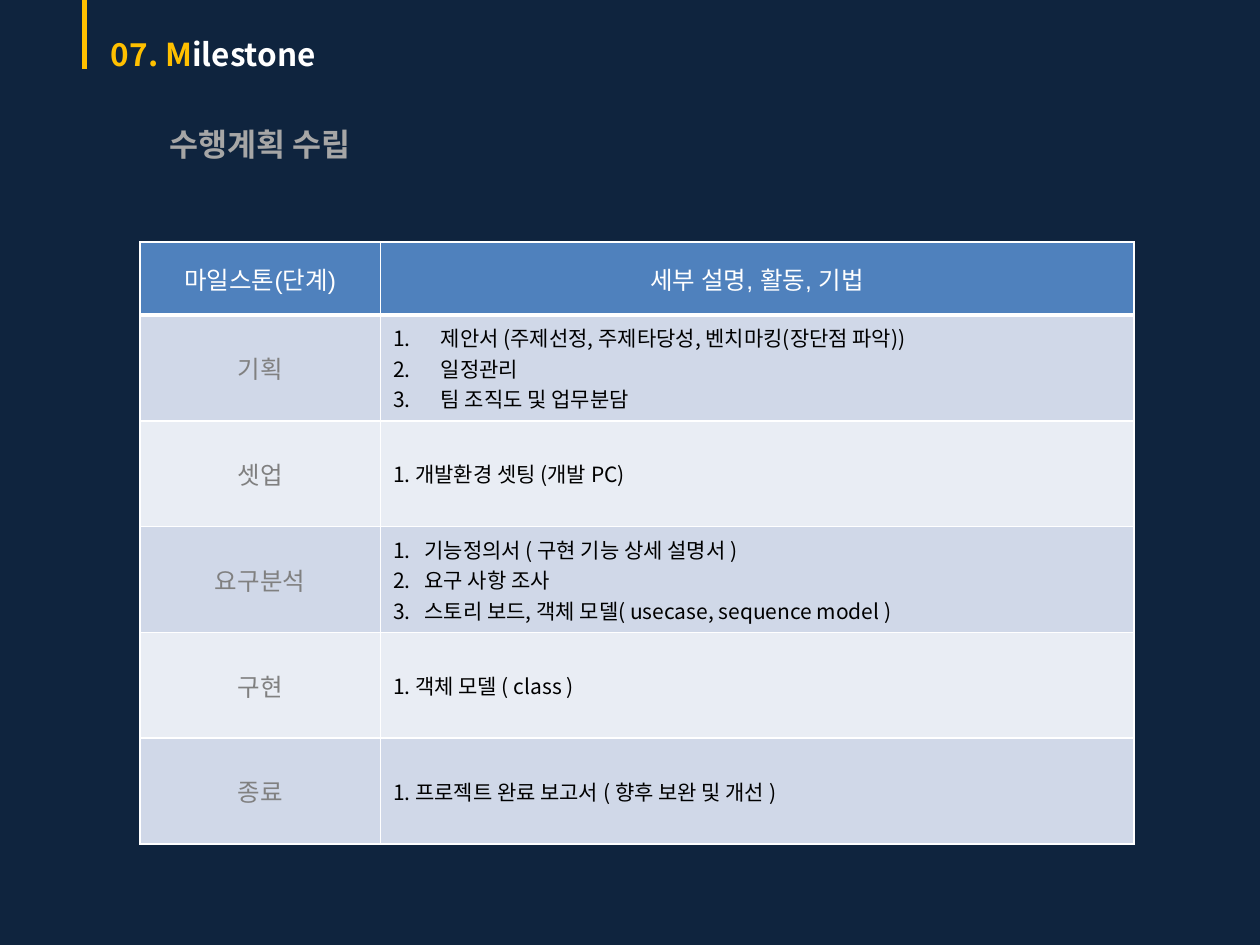
from lxml.etree import SubElement
from pptx import Presentation
from pptx.dml.color import RGBColor
from pptx.enum.shapes import MSO_CONNECTOR
from pptx.enum.text import MSO_ANCHOR, MSO_AUTO_SIZE, PP_ALIGN
from pptx.oxml.ns import qn
from pptx.util import Inches, Pt

NAVY = RGBColor(0x0F, 0x24, 0x3E)
GOLD = RGBColor(0xFF, 0xC0, 0x00)
WHITE = RGBColor(0xFF, 0xFF, 0xFF)
BLACK = RGBColor(0, 0, 0)
GRAY = RGBColor(0x80, 0x80, 0x80)
SILVER = RGBColor(0xA6, 0xA6, 0xA6)
BLUE = RGBColor(0x4F, 0x81, 0xBD)
DARK = RGBColor(0xD0, 0xD8, 0xE8)
LIGHT = RGBColor(0xE9, 0xED, 0xF4)
NOTO = "Noto Sans CJK KR"


def style(para, size, name, color, bold=False):
    font = para.font
    font.size = Pt(size)
    font.name = name
    font.bold = bold
    font.color.rgb = color


def border(cell, side, width):
    line = SubElement(cell._tc.get_or_add_tcPr(), qn("a:ln" + side), w=str(Pt(width)))
    fill = SubElement(line, qn("a:solidFill"))
    SubElement(fill, qn("a:srgbClr"), val=str(WHITE))


prs = Presentation()
prs.slide_width = Inches(10)
prs.slide_height = Inches(7.5)
slide = prs.slides.add_slide(prs.slide_layouts[5])
slide.background.fill.solid()
slide.background.fill.fore_color.rgb = NAVY

rows = [
    ("마일스톤(단계)", ["세부 설명, 활동, 기법"], 0),
    ("기획", ["제안서 (주제선정, 주제타당성, 벤치마킹(장단점 파악))", "일정관리", "팀 조직도 및 업무분담"], 0.38),
    ("셋업", ["1. 개발환경 셋팅 (개발 PC)"], 0),
    ("요구분석", ["기능정의서 ( 구현 기능 상세 설명서 )", "요구 사항 조사",
              "스토리 보드, 객체 모델( usecase, sequence model )"], 0.25),
    ("구현", ["1. 객체 모델 ( class )"], 0),
    ("종료", ["1. 프로젝트 완료 보고서 ( 향후 보완 및 개선 )"], 0),
]
frame = slide.shapes.add_table(len(rows), 2, Inches(1.11), Inches(1.92), Inches(7.89), Inches(4.78))
table = frame.table
table.columns[0].width = Inches(1.91)
table.columns[1].width = Inches(5.98)
for r, (stage, items, indent) in enumerate(rows):
    table.rows[r].height = Inches(0.84 if r else 0.58)
    for c, lines in enumerate([[stage], items]):
        cell = table.cell(r, c)
        cell.vertical_anchor = MSO_ANCHOR.MIDDLE
        for side in "LRTB":
            thick = (r, side) in [(0, "B"), (1, "T")]
            border(cell, side, 3 if thick else 1)
        cell.fill.solid()
        cell.fill.fore_color.rgb = BLUE if r == 0 else DARK if r % 2 else LIGHT
        cell.text_frame.text = "\n".join(lines)
        for para in cell.text_frame.paragraphs:
            if c and indent:
                props = para._p.get_or_add_pPr()
                props.set("marL", str(Inches(indent)))
                props.set("indent", str(-Inches(indent)))
                SubElement(props, qn("a:buFont"), typeface="+mj-lt")
                SubElement(props, qn("a:buAutoNum"), type="arabicPeriod")
            if r and c:
                style(para, 12, NOTO, BLACK)
            else:
                style(para, 14, "Arial", GRAY if r else WHITE)
                para.alignment = PP_ALIGN.CENTER

sub = slide.shapes.add_textbox(Inches(1.25), Inches(0.94), Inches(1.81), Inches(0.4))
sub.text_frame.text = "수행계획 수립"
style(sub.text_frame.paragraphs[0], 18, NOTO, SILVER, True)

title = slide.shapes.title
title.left, title.top = Inches(0.78), Inches(0.23)
title.width, title.height = Inches(1.83), Inches(0.4)
title.text_frame.vertical_anchor = MSO_ANCHOR.TOP
para = title.text_frame.paragraphs[0]
para.alignment = PP_ALIGN.LEFT
style(para, 18, NOTO, WHITE, True)
for text, color in [("07. M", GOLD), ("ilestone", WHITE)]:
    run = para.add_run()
    run.text = text
    run.font.color.rgb = color

for box in (sub, title):
    box.text_frame.word_wrap = False
    box.text_frame.auto_size = MSO_AUTO_SIZE.SHAPE_TO_FIT_TEXT

bar = slide.shapes.add_connector(MSO_CONNECTOR.STRAIGHT, Inches(0.67), Inches(-0.02), Inches(0.67), Inches(0.55))
bar.line.color.rgb = GOLD
bar.line.width = Pt(3)
SubElement(bar._element.spPr, qn("a:effectLst"))

prs.save("out.pptx")
